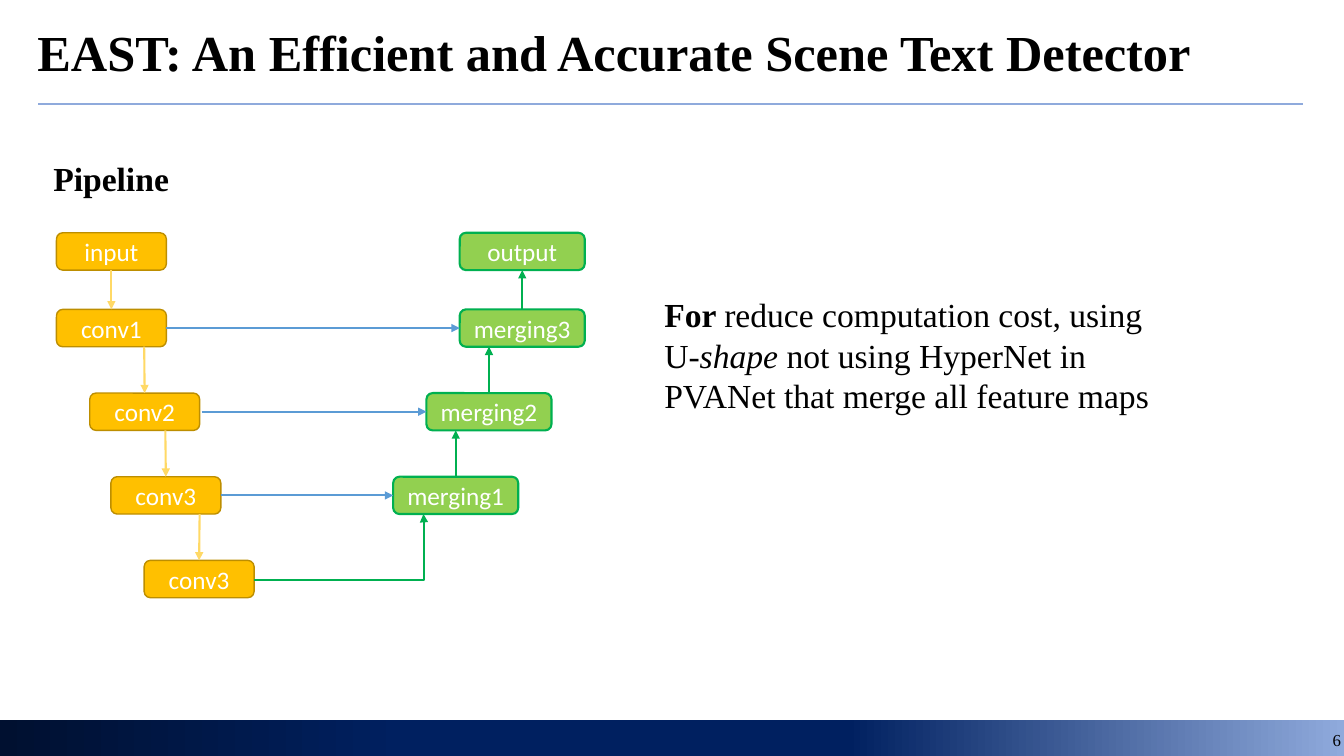
from dataclasses import dataclass

from lxml import etree
from pptx import Presentation
from pptx.dml.color import RGBColor
from pptx.enum import shapes, text
from pptx.oxml.ns import qn
from pptx.util import Inches, Pt

TOP, LEFT, BOTTOM, RIGHT = range(4)


@dataclass(frozen=True)
class Theme:
    serif: str = "Times New Roman"
    sans: str = "Calibri"
    ink: str = "000000"
    white: str = "FFFFFF"
    rule: str = "8FAADC"
    amber: str = "FFC000"
    brown: str = "BD8E00"
    sand: str = "FFD966"
    lime: str = "92D050"
    green: str = "00B050"
    blue: str = "5B9BD5"
    band: tuple = ((0, "001030"), (30, "002060"), (63, "002060"), (100, "8FAADC"))
    head: int = 36
    body: int = 24
    label: int = 18
    small: int = 12


class Deck:
    def __init__(self, theme):
        self.theme = theme
        self.file = Presentation()
        self.file.slide_width, self.file.slide_height = Inches(13.33), Inches(7.5)
        self.slide = self.file.slides.add_slide(self.file.slide_layouts[5])
        self.items = self.slide.shapes

    def label(self, shape, runs, size, font=None, color=None, align="LEFT",
              anchor="TOP", fit="NONE", space=1.0):
        """Fill a shape with one paragraph of (text, font settings) runs."""
        frame = shape.text_frame
        look = {"word_wrap": True, "auto_size": getattr(text.MSO_AUTO_SIZE, fit),
                "vertical_anchor": getattr(text.MSO_ANCHOR, anchor)}
        for key, value in look.items():
            setattr(frame, key, value)
        para = frame.paragraphs[0]
        para.alignment = getattr(text.PP_ALIGN, align)
        para.line_spacing = space
        for words, extra in runs:
            run = para.add_run()
            run.text = words
            form = {"name": font or self.theme.serif, "size": Pt(size),
                    "bold": False, "italic": False, **extra}
            for key, value in form.items():
                setattr(run.font, key, value)
            run.font.color.rgb = RGBColor.from_string(color or self.theme.ink)

    def title(self, words, *area):
        shape = self.items.title
        for key, value in zip(("left", "top", "width", "height"), area):
            setattr(shape, key, Inches(value))
        self.label(shape, [(words, {"bold": True})], self.theme.head,
                   anchor="MIDDLE", space=0.9)

    def note(self, runs, size, *area, **look):
        box = self.items.add_textbox(*map(Inches, area))
        self.label(box, runs, size, **look)

    def band(self, *area):
        """Draw the gradient footer."""
        bar = self.items.add_shape(shapes.MSO_SHAPE.RECTANGLE, *map(Inches, area))
        bar.shadow.inherit = False
        bar.line.fill.background()
        bar.fill.gradient()
        bar.fill.gradient_angle = 0
        stops = bar._element.spPr.find(".//" + qn("a:gsLst"))
        for old in list(stops):
            stops.remove(old)
        for place, color in self.theme.band:
            stop = etree.SubElement(stops, qn("a:gs"), pos=str(place * 1000))
            etree.SubElement(stop, qn("a:srgbClr"), val=color)

    def node(self, words, area, fill, edge, width):
        box = self.items.add_shape(shapes.MSO_SHAPE.ROUNDED_RECTANGLE,
                                   *map(Inches, area))
        box.shadow.inherit = False
        box.fill.solid()
        box.fill.fore_color.rgb = RGBColor.from_string(fill)
        box.line.color.rgb = RGBColor.from_string(edge)
        box.line.width = Pt(width)
        self.label(box, [(words, {})], self.theme.label, self.theme.sans,
                   self.theme.white, "CENTER", "MIDDLE")
        return box

    def line(self, start, end, color, width=1.5, arrow=True, bend=None):
        """Link two ends, each an (x, y) point in inches or a (box, side) pair."""
        kind = shapes.MSO_CONNECTOR.STRAIGHT if bend is None else shapes.MSO_CONNECTOR.ELBOW
        spots = [Inches(v) for spot in (start, end)
                 for v in ((0, 0) if hasattr(spot[0], "left") else spot)]
        link = self.items.add_connector(kind, *spots)
        for spot, join in ((start, link.begin_connect), (end, link.end_connect)):
            if hasattr(spot[0], "left"):
                join(*spot)
        link.line.color.rgb = RGBColor.from_string(color)
        link.line.width = Pt(width)
        props = link._element.spPr
        if arrow:
            etree.SubElement(props.find(qn("a:ln")), qn("a:tailEnd"), type="triangle")
        if bend is not None:
            guides = props.find(qn("a:prstGeom")).find(qn("a:avLst"))
            etree.SubElement(guides, qn("a:gd"), name="adj1",
                             fmla=f"val {round(bend * 100000)}")
        etree.SubElement(props, qn("a:effectLst"))


def main():
    theme = Theme()
    deck = Deck(theme)
    deck.band(0, 7.14, 13.33, 0.36)
    deck.line((0.38, 1.03), (12.92, 1.03), theme.rule, 1.25, arrow=False)
    deck.note([("6", {})], theme.small, 10.4, 7.14, 3, 0.4,
              align="RIGHT", anchor="MIDDLE")
    deck.title("EAST: An Efficient and Accurate Scene Text Detector",
               0.27, 0.08, 12.79, 0.93)
    deck.note([("Pipeline", {"bold": True})], theme.body, 0.43, 1.52, 12.08, 0.5,
              fit="SHAPE_TO_FIT_TEXT")

    high = 0.37
    rows = [2.31] + [3.07 + 0.83 * i for i in range(4)]
    convs = [deck.node(name, (x, y, 1.09, high), theme.amber, theme.brown, 1)
             for name, x, y in zip(("input", "conv1", "conv2", "conv3", "conv3"),
                                   (0.56, 0.56, 0.89, 1.1, 1.43), rows)]
    merges = [deck.node(name, (x, y, 1.24, high), theme.lime, theme.green, 1.5)
              for name, x, y in zip(("output", "merging3", "merging2", "merging1"),
                                    (4.56, 4.56, 4.23, 3.9), rows)]

    deck.line((convs[0], BOTTOM), (convs[1], TOP), theme.sand)
    for x, y, box in zip((1.43, 1.64, 1.98), rows[1:], convs[2:]):
        deck.line((x, y + high), (box, TOP), theme.sand)

    starts = ((convs[1], RIGHT), (2, rows[2] + high / 2), (convs[3], RIGHT))
    for start, box in zip(starts, merges[1:]):
        deck.line(start, (box, LEFT), theme.blue)

    deck.line((merges[1], TOP), (merges[0], BOTTOM), theme.green)
    for x, y, box in zip((4.85, 4.52), rows[1:], merges[2:]):
        deck.line((box, TOP), (x, y + high), theme.green)
    deck.line((2.52, 5.75), (4.2, 5.1), theme.green, bend=1.003)

    deck.note([("For ", {"bold": True}),
               ("reduce computation cost, using U-", {}),
               ("shape ", {"italic": True}),
               ("not using HyperNet in PVANet that merge all feature maps", {})],
              theme.body, 6.49, 2.87, 5.3, 1.31, fit="SHAPE_TO_FIT_TEXT")
    deck.file.save("out.pptx")


if __name__ == "__main__":
    main()
